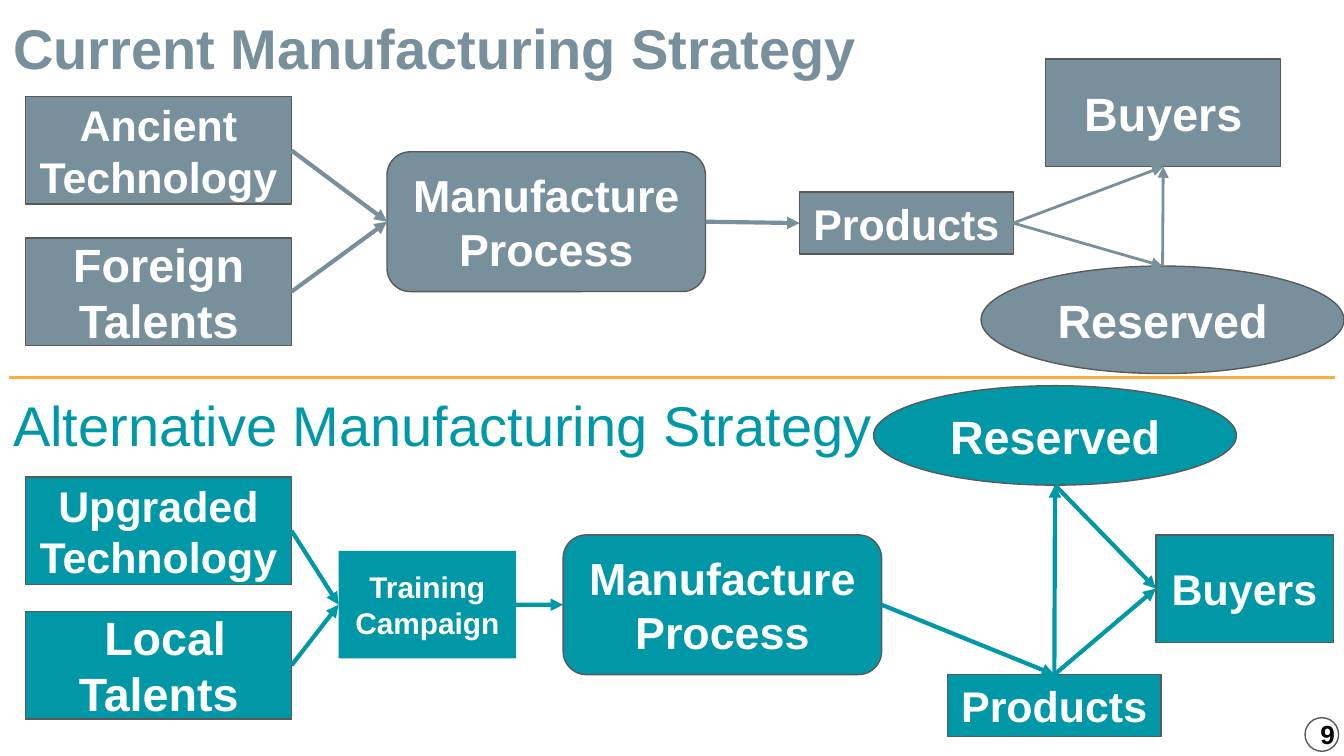
"""Build a slide comparing the current and alternative manufacturing strategies."""
from dataclasses import dataclass

from lxml import etree
from pptx import Presentation
from pptx.dml.color import RGBColor
from pptx.enum.shapes import MSO_CONNECTOR, MSO_SHAPE
from pptx.enum.text import MSO_ANCHOR, PP_ALIGN
from pptx.oxml.ns import qn
from pptx.util import Inches, Pt

RECTANGLE = MSO_SHAPE.RECTANGLE
ROUNDED = MSO_SHAPE.ROUNDED_RECTANGLE
OVAL = MSO_SHAPE.OVAL
STRAIGHT = MSO_CONNECTOR.STRAIGHT
CENTER = PP_ALIGN.CENTER
LEFT_ALIGN = PP_ALIGN.LEFT
MIDDLE = MSO_ANCHOR.MIDDLE
TOP_ANCHOR = MSO_ANCHOR.TOP
TOP, LEFT, BOTTOM, RIGHT = range(4)


@dataclass(frozen=True)
class Theme:
    font: str = "Arial"
    current: str = "78909C"
    alternative: str = "0097A7"
    outline: str = "595959"
    divider: str = "FFAB40"
    light: str = "FFFFFF"
    dark: str = "000000"
    title: int = 30
    large: int = 25
    process: int = 24
    medium: int = 23
    small: int = 16
    number: int = 14
    inset: float = 0.1
    thin: float = 0.75
    fine: float = 1.5
    thick: float = 2.25


THEME = Theme()


@dataclass(frozen=True)
class Node:
    name: str
    lines: tuple
    left: float
    top: float
    width: float
    height: float
    size: int
    kind: int = RECTANGLE
    outlined: bool = True


@dataclass(frozen=True)
class Arrow:
    start: str
    start_side: int
    end: str
    end_side: int
    weight: float = THEME.thick


@dataclass(frozen=True)
class Strategy:
    title: str
    title_top: float
    title_bold: bool
    color: str
    nodes: tuple
    arrows: tuple


CURRENT = Strategy(
    "Current Manufacturing Strategy", 0, True, THEME.current,
    (
        Node("technology", ("Ancient", "Technology"), 0.19, 0.72, 1.98, 0.8, THEME.medium),
        Node("talents", ("Foreign", "Talents"), 0.19, 1.77, 1.98, 0.8, THEME.large),
        Node("process", ("Manufacture", "Process"), 2.88, 1.13, 2.37, 1.04, THEME.process, ROUNDED),
        Node("products", ("Products",), 5.95, 1.43, 1.59, 0.46, THEME.medium),
        Node("buyers", ("Buyers",), 7.78, 0.44, 1.75, 0.8, THEME.large),
        Node("reserved", ("Reserved",), 7.3, 1.98, 2.7, 0.8, THEME.large, OVAL),
    ),
    (
        Arrow("technology", RIGHT, "process", LEFT),
        Arrow("talents", RIGHT, "process", LEFT),
        Arrow("process", RIGHT, "products", LEFT),
        Arrow("products", RIGHT, "reserved", TOP, THEME.fine),
        Arrow("products", RIGHT, "buyers", BOTTOM, THEME.fine),
        Arrow("reserved", TOP, "buyers", BOTTOM, THEME.fine),
    ),
)

ALTERNATIVE = Strategy(
    "Alternative Manufacturing Strategy", 2.81, False, THEME.alternative,
    (
        Node("technology", ("Upgraded", "Technology"), 0.19, 3.55, 1.98, 0.8, THEME.medium),
        Node("talents", (" Local", "Talents"), 0.19, 4.55, 1.98, 0.8, THEME.large),
        Node("process", ("Manufacture", "Process"), 4.19, 3.98, 2.37, 1.04, THEME.process, ROUNDED),
        Node("products", ("Products",), 7.05, 5.02, 1.59, 0.46, THEME.medium),
        Node("training", ("Training", "Campaign"), 2.52, 4.1, 1.32, 0.8, THEME.small, outlined=False),
        Node("buyers", ("Buyers",), 8.6, 3.98, 1.32, 0.8, THEME.medium),
        Node("reserved", ("Reserved",), 6.5, 2.87, 2.7, 0.74, THEME.large, OVAL),
    ),
    (
        Arrow("process", RIGHT, "products", TOP),
        Arrow("products", TOP, "buyers", LEFT),
        Arrow("technology", RIGHT, "training", LEFT),
        Arrow("talents", RIGHT, "training", LEFT),
        Arrow("training", RIGHT, "process", LEFT),
        Arrow("products", TOP, "reserved", BOTTOM),
        Arrow("reserved", BOTTOM, "buyers", LEFT),
    ),
)

PAGE_NUMBER = Node("number", ("9",), 9.71, 5.34, 0.25, 0.25, THEME.number, OVAL)


def apply_format(target, values: dict) -> None:
    for name, value in values.items():
        setattr(target, name, value)


def write_text(box, lines: tuple, size: int, color: str, bold: bool, align, anchor) -> None:
    frame = box.text_frame
    margins = dict.fromkeys(
        ("margin_left", "margin_top", "margin_right", "margin_bottom"), Inches(THEME.inset))
    apply_format(frame, {"word_wrap": True, "vertical_anchor": anchor, **margins})
    for index, line in enumerate(lines):
        para = frame.add_paragraph() if index else frame.paragraphs[0]
        para.alignment = align
        span = para.add_run()
        span.text = line
        apply_format(span.font, {"name": THEME.font, "size": Pt(size), "bold": bold})
        span.font.color.rgb = RGBColor.from_string(color)


def draw_title(page, strategy: Strategy) -> None:
    box = page.shapes.add_textbox(0, Inches(strategy.title_top), Inches(8), Inches(0.93))
    write_text(box, (strategy.title,), THEME.title, strategy.color,
               strategy.title_bold, LEFT_ALIGN, TOP_ANCHOR)


def draw_node(page, node: Node, fill: str, text: str):
    bounds = (Inches(value) for value in (node.left, node.top, node.width, node.height))
    box = page.shapes.add_shape(node.kind, *bounds)
    box.shadow.inherit = False
    box.fill.solid()
    box.fill.fore_color.rgb = RGBColor.from_string(fill)
    if node.outlined:
        box.line.color.rgb = RGBColor.from_string(THEME.outline)
        box.line.width = Pt(THEME.thin)
    else:
        box.line.fill.background()
    write_text(box, node.lines, node.size, text, True, CENTER, MIDDLE)
    return box


def draw_line(page, start: tuple, end: tuple, color: str, weight: float):
    line = page.shapes.add_connector(STRAIGHT, *start, *end)
    line.line.color.rgb = RGBColor.from_string(color)
    line.line.width = Pt(weight)
    etree.SubElement(line.element.spPr, qn("a:effectLst"))
    return line


def side_point(box, side: int) -> tuple:
    across = {LEFT: 0, RIGHT: box.width}.get(side, box.width // 2)
    down = {TOP: 0, BOTTOM: box.height}.get(side, box.height // 2)
    return box.left + across, box.top + down


def draw_arrow(page, boxes: dict, arrow: Arrow, color: str) -> None:
    start, end = boxes[arrow.start], boxes[arrow.end]
    line = draw_line(page, side_point(start, arrow.start_side),
                     side_point(end, arrow.end_side), color, arrow.weight)
    etree.SubElement(line.get_or_add_ln(), qn("a:tailEnd"), type="triangle")
    if start.auto_shape_type != OVAL or arrow.start_side == TOP:
        line.begin_connect(start, arrow.start_side)
    if end.auto_shape_type != OVAL or arrow.end_side == TOP:
        line.end_connect(end, arrow.end_side)


def draw_strategy(page, strategy: Strategy) -> None:
    draw_title(page, strategy)
    boxes = {node.name: draw_node(page, node, strategy.color, THEME.light)
             for node in strategy.nodes}
    for arrow in strategy.arrows:
        draw_arrow(page, boxes, arrow, strategy.color)


def main() -> None:
    deck = Presentation()
    width = Inches(10)
    apply_format(deck, {"slide_width": width, "slide_height": width * 9 // 16})
    page = deck.slides.add_slide(deck.slide_layouts[6])
    draw_line(page, (Inches(0.07), Inches(2.81)), (Inches(9.93), Inches(2.81)),
              THEME.divider, THEME.fine)
    for strategy in (CURRENT, ALTERNATIVE):
        draw_strategy(page, strategy)
    draw_node(page, PAGE_NUMBER, THEME.light, THEME.dark)
    deck.save("out.pptx")


if __name__ == "__main__":
    main()
